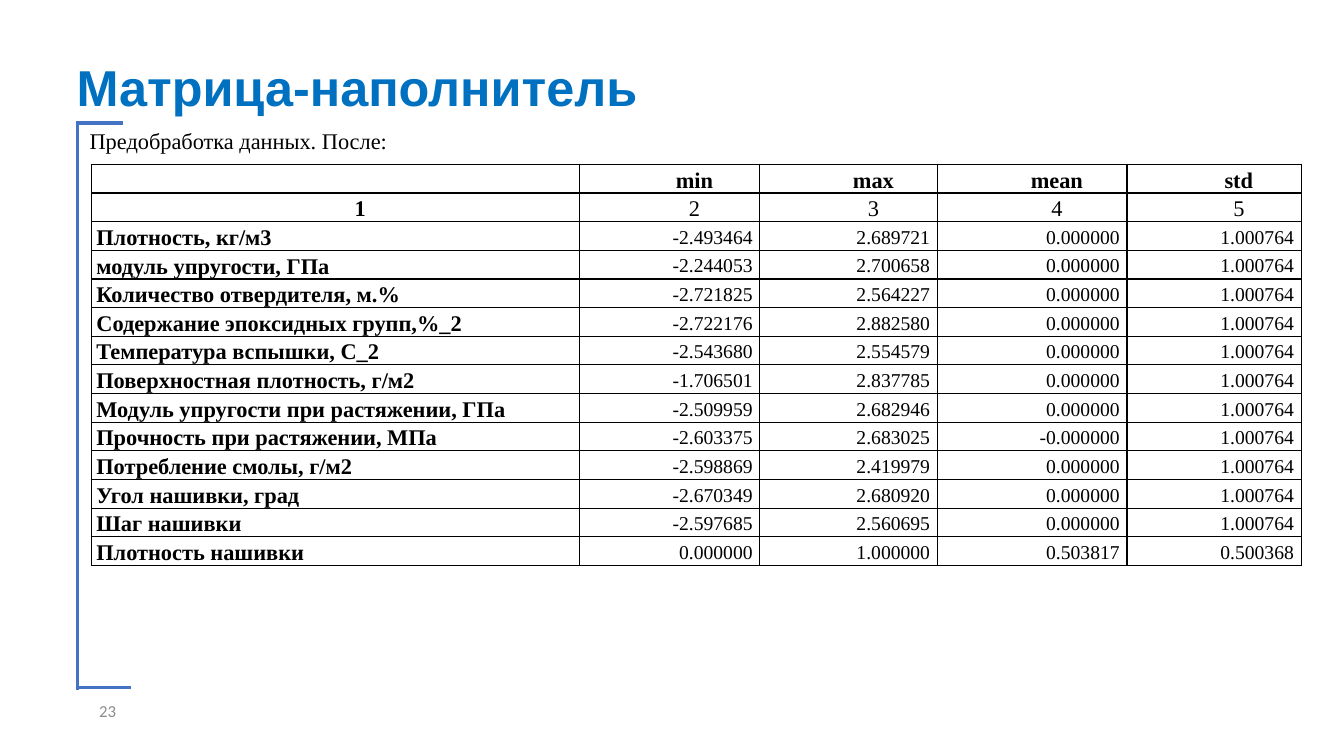
from dataclasses import dataclass

from lxml.etree import SubElement
from pptx import Presentation
from pptx.dml.color import RGBColor
from pptx.enum.shapes import MSO_CONNECTOR
from pptx.enum.text import MSO_ANCHOR, MSO_AUTO_SIZE, PP_ALIGN
from pptx.oxml import parse_xml
from pptx.oxml.ns import nsdecls, qn
from pptx.util import Cm, Pt


@dataclass(frozen=True)
class Theme:
    title_color: str = "0070C0"
    frame_color: str = "4472C4"
    number_color: str = "8C8C8C"
    ink: str = "000000"
    paper: str = "FFFFFF"
    title_font: str = "Arial"
    body_font: str = "Times New Roman"
    number_font: str = "Calibri"
    title_size: int = 36
    body_size: int = 16
    value_size: int = 14
    number_size: int = 12


HEADER = ["", "min", "max", "mean", "std"]
COLUMN_NUMBERS = ["1", "2", "3", "4", "5"]
STATISTICS = [
    ["Плотность, кг/м3", "-2.493464", "2.689721", "0.000000", "1.000764"],
    ["модуль упругости, ГПа", "-2.244053", "2.700658", "0.000000", "1.000764"],
    ["Количество отвердителя, м.%", "-2.721825", "2.564227", "0.000000", "1.000764"],
    ["Содержание эпоксидных групп,%_2", "-2.722176", "2.882580", "0.000000", "1.000764"],
    ["Температура вспышки, С_2", "-2.543680", "2.554579", "0.000000", "1.000764"],
    ["Поверхностная плотность, г/м2", "-1.706501", "2.837785", "0.000000", "1.000764"],
    ["Модуль упругости при растяжении, ГПа", "-2.509959", "2.682946", "0.000000", "1.000764"],
    ["Прочность при растяжении, МПа", "-2.603375", "2.683025", "-0.000000", "1.000764"],
    ["Потребление смолы, г/м2", "-2.598869", "2.419979", "0.000000", "1.000764"],
    ["Угол нашивки, град", "-2.670349", "2.680920", "0.000000", "1.000764"],
    ["Шаг нашивки", "-2.597685", "2.560695", "0.000000", "1.000764"],
    ["Плотность нашивки", "0.000000", "1.000000", "0.503817", "0.500368"],
]
COLUMN_WIDTHS = [12.29, 4.55, 4.47, 4.78, 4.39]
ROW_HEIGHT = 0.72
FIRST_LINE_INDENT = 1.25


def apply(target, values):
    for name, value in values.items():
        setattr(target, name, value)


class SlideBuilder:
    def __init__(self, slide, theme):
        self.slide = slide
        self.theme = theme

    def add_words(self, paragraph, text, font, size, color, bold=False, **layout):
        apply(paragraph, layout)
        if not text:
            SubElement(paragraph._p, qn("a:endParaRPr"), sz=str(size * 100))
            return
        run = paragraph.add_run()
        run.text = text
        apply(run.font, {"name": font, "size": Pt(size), "bold": bold})
        run.font.color.rgb = RGBColor.from_string(color)

    def fill_frame(self, shape, box, anchor, text, *style, **layout):
        apply(shape, dict(zip(("left", "top", "width", "height"), map(Cm, box))))
        apply(shape.text_frame, {
            "word_wrap": True, "auto_size": MSO_AUTO_SIZE.NONE, "vertical_anchor": anchor,
            "margin_left": Cm(0.2), "margin_right": Cm(0.2),
            "margin_top": Cm(0.1), "margin_bottom": Cm(0.1),
        })
        self.add_words(shape.text_frame.paragraphs[0], text, *style, **layout)

    def title(self, box, text):
        theme = self.theme
        self.fill_frame(self.slide.shapes.title, box, MSO_ANCHOR.BOTTOM, text,
                        theme.title_font, theme.title_size, theme.title_color, True,
                        alignment=PP_ALIGN.LEFT, line_spacing=0.9)

    def text(self, box, anchor, text, *style, **layout):
        shape = self.slide.shapes.add_textbox(0, 0, 0, 0)
        self.fill_frame(shape, box, anchor, text, *style, **layout)

    def line(self, *ends):
        connector = self.slide.shapes.add_connector(MSO_CONNECTOR.STRAIGHT, *map(Cm, ends))
        connector.line.color.rgb = RGBColor.from_string(self.theme.frame_color)
        connector.line.width = Pt(2.25)
        SubElement(connector._element.spPr, qn("a:effectLst"))

    def table(self, left, top, rows, widths, row_height):
        frame = self.slide.shapes.add_table(
            len(rows), len(widths), Cm(left), Cm(top),
            Cm(sum(widths)), Cm(row_height * len(rows)))
        table = frame.table
        apply(table, {"first_row": False, "horz_banding": False})
        for column, width in zip(table.columns, widths):
            column.width = Cm(width)
        for row_index, row in enumerate(rows):
            table.rows[row_index].height = Cm(row_height)
            for column_index, text in enumerate(row):
                self.cell(table.cell(row_index, column_index), text, row_index, column_index)

    def cell(self, cell, text, row_index, column_index):
        theme = self.theme
        is_heading = row_index < 2
        is_label = column_index == 0
        is_value = not (is_heading or is_label)
        side_margin = Cm(0.18 if is_value else 0.12)
        apply(cell, {
            "vertical_anchor": MSO_ANCHOR.MIDDLE, "margin_top": 0, "margin_bottom": 0,
            "margin_left": side_margin, "margin_right": side_margin,
        })
        cell.fill.solid()
        cell.fill.fore_color.rgb = RGBColor.from_string(theme.paper)
        self.borders(cell)

        paragraph = cell.text_frame.paragraphs[0]
        alignment = PP_ALIGN.LEFT
        if is_heading or is_value:
            alignment = PP_ALIGN.CENTER if is_heading else PP_ALIGN.RIGHT
            paragraph._p.get_or_add_pPr().set("indent", str(Cm(FIRST_LINE_INDENT)))
        self.add_words(paragraph, text, theme.body_font,
                       theme.value_size if is_value else theme.body_size, theme.ink,
                       is_label or row_index == 0, alignment=alignment, line_spacing=1.15)

    def borders(self, cell):
        properties = cell._tc.get_or_add_tcPr()
        for position, side in enumerate("LRTB"):
            properties.insert(position, parse_xml(
                f'<a:ln{side} {nsdecls("a")} w="{Pt(1)}"><a:solidFill>'
                f'<a:srgbClr val="{self.theme.ink}"/></a:solidFill></a:ln{side}>'))


def main():
    presentation = Presentation()
    apply(presentation, {"slide_width": Cm(33.87), "slide_height": Cm(19.05)})
    theme = Theme()
    builder = SlideBuilder(presentation.slides.add_slide(presentation.slide_layouts[5]), theme)

    builder.title((1.73, 1.32, 21.92, 1.73), "Матрица-наполнитель")
    builder.text((1.45, 17.4, 1.68, 1.02), MSO_ANCHOR.MIDDLE, "23",
                 theme.number_font, theme.number_size, theme.number_color,
                 alignment=PP_ALIGN.RIGHT)
    builder.text((2.06, 3.18, 21.49, 10.29), MSO_ANCHOR.TOP, "Предобработка данных. После:",
                 theme.body_font, theme.body_size, theme.ink, line_spacing=0.9)

    frame_left = 1.96
    builder.line(frame_left, 3.05, frame_left, 17.4)
    for y, right in ((3.1, 3.1), (17.32, 3.3)):
        builder.line(frame_left, y, right, y)

    builder.table(2.31, 4.14, [HEADER, COLUMN_NUMBERS, *STATISTICS], COLUMN_WIDTHS, ROW_HEIGHT)
    presentation.save("out.pptx")


if __name__ == "__main__":
    main()
